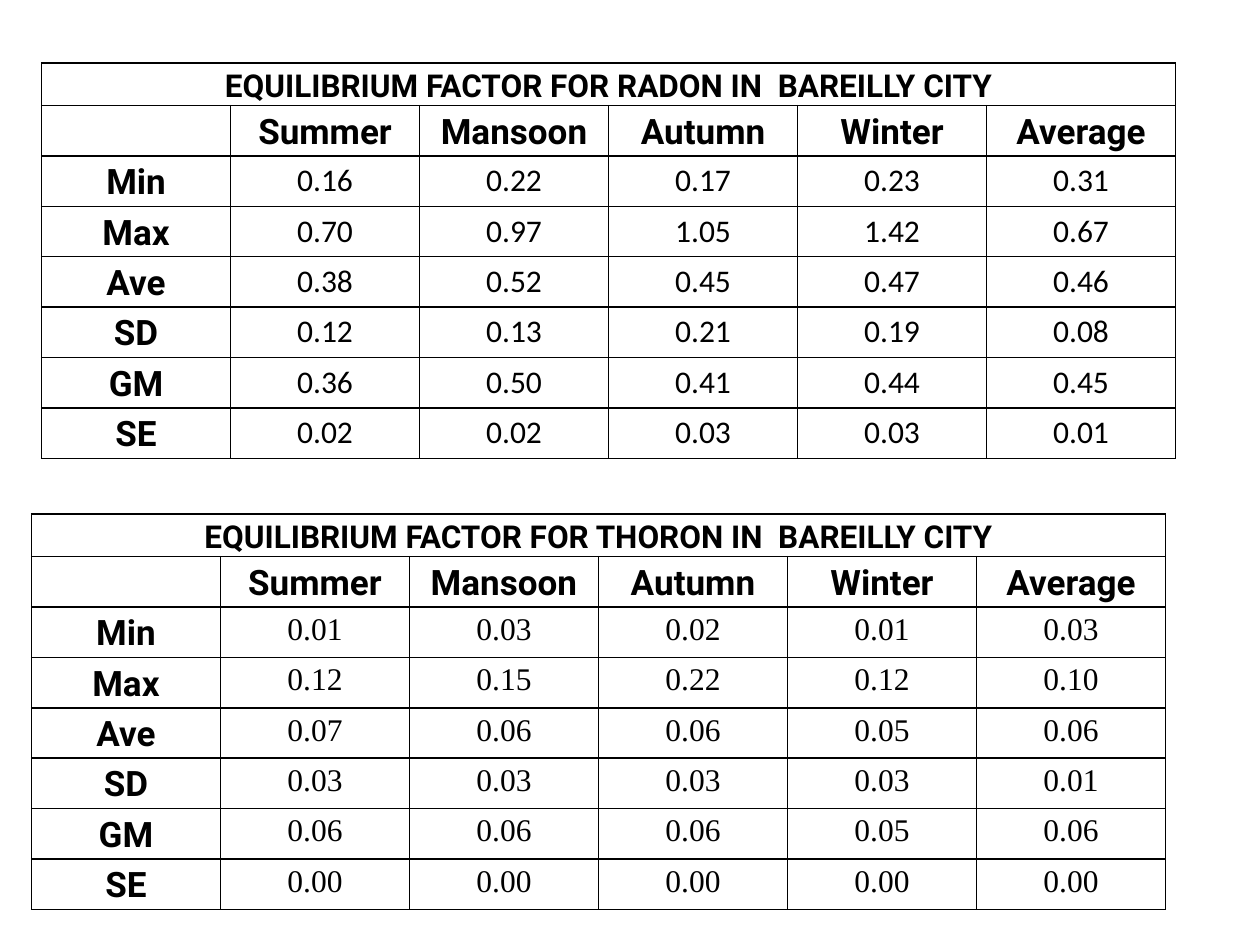
from dataclasses import dataclass

from lxml import etree
from pptx import Presentation
from pptx.dml.color import RGBColor
from pptx.enum.text import MSO_ANCHOR, PP_ALIGN
from pptx.oxml.ns import qn
from pptx.slide import Slide
from pptx.util import Inches, Pt

CENTER = PP_ALIGN.CENTER
TOP = MSO_ANCHOR.TOP
BLANK_LAYOUT = 6

COLORS = {"text": "000000", "border": "000000"}
SEASONS = ["Summer", "Mansoon", "Autumn", "Winter", "Average"]
STATISTICS = ["Min", "Max", " Ave ", "SD", "GM", "SE"]

RADON = [
    ["0.16", "0.22", "0.17", "0.23", "0.31"],
    ["0.70", "0.97", "1.05", "1.42", "0.67"],
    ["0.38", "0.52", "0.45", "0.47", "0.46"],
    ["0.12", "0.13", "0.21", "0.19", "0.08"],
    ["0.36", "0.50", "0.41", "0.44", "0.45"],
    ["0.02", "0.02", "0.03", "0.03", "0.01"],
]
THORON = [
    ["0.01", "0.03", "0.02", "0.01", "0.03"],
    ["0.12", "0.15", "0.22", "0.12", "0.10"],
    ["0.07", "0.06", "0.06", "0.05", "0.06"],
    ["0.03", "0.03", "0.03", "0.03", "0.01"],
    ["0.06", "0.06", "0.06", "0.05", "0.06"],
    ["0.00", "0.00", "0.00", "0.00", "0.00"],
]


@dataclass
class FactorSlide:
    slide: Slide
    heading_font: str = "Roboto"
    heading_size: int = 20
    body_size: int = 18
    line_spacing: float = 1.15
    column_width: float = 1.5
    title_height: float = 0.33
    row_height: float = 0.4

    def add_borders(self, cell):
        properties = cell._tc.get_or_add_tcPr()
        for index, side in enumerate(("a:lnL", "a:lnR", "a:lnT", "a:lnB")):
            line = etree.Element(qn(side), w=str(Pt(1)))
            fill = etree.SubElement(line, qn("a:solidFill"))
            etree.SubElement(fill, qn("a:srgbClr"), val=COLORS["border"])
            properties.insert(index, line)

    def format_cell(self, cell):
        cell.fill.background()
        cell.margin_left = cell.margin_right = Inches(0.07)
        cell.margin_top = cell.margin_bottom = 0
        cell.vertical_anchor = TOP
        self.add_borders(cell)

    def write_cell(self, cell, text, font_name, size, bold):
        paragraph = cell.text_frame.paragraphs[0]
        paragraph.text = text
        paragraph.alignment = CENTER
        paragraph.line_spacing = self.line_spacing
        for run in paragraph.runs:
            run.font.name = font_name
            run.font.size = Pt(size)
            run.font.bold = bold
            run.font.color.rgb = RGBColor.from_string(COLORS["text"])

    def add_factor_table(self, left, top, title, values, value_font):
        row_count, column_count = len(STATISTICS) + 2, len(SEASONS) + 1
        width = column_count * self.column_width
        height = self.title_height + (row_count - 1) * self.row_height
        table = self.slide.shapes.add_table(
            row_count, column_count, Inches(left), Inches(top), Inches(width), Inches(height)
        ).table
        table.horz_banding = False
        table.first_row = False
        for column in table.columns:
            column.width = Inches(self.column_width)
        for row in table.rows:
            row.height = Inches(self.row_height)
        table.rows[0].height = Inches(self.title_height)
        for cell in table.iter_cells():
            self.format_cell(cell)

        table.cell(0, 0).merge(table.cell(0, column_count - 1))
        self.write_cell(table.cell(0, 0), title, self.heading_font, self.body_size, True)
        for column, season in enumerate(SEASONS, 1):
            self.write_cell(table.cell(1, column), season, self.heading_font, self.heading_size, True)
        for row, (statistic, numbers) in enumerate(zip(STATISTICS, values), 2):
            self.write_cell(table.cell(row, 0), statistic, self.heading_font, self.heading_size, True)
            for column, number in enumerate(numbers, 1):
                self.write_cell(table.cell(row, column), number, value_font, self.body_size, False)


def main():
    presentation = Presentation()
    presentation.slide_width = Inches(10)
    presentation.slide_height = Inches(7.5)
    slide = presentation.slides.add_slide(presentation.slide_layouts[BLANK_LAYOUT])
    factors = FactorSlide(slide)
    factors.add_factor_table(
        0.33, 0.5, "EQUILIBRIUM FACTOR FOR RADON IN  BAREILLY CITY", RADON, "Calibri"
    )
    factors.add_factor_table(
        0.25, 4.08, "EQUILIBRIUM FACTOR FOR THORON IN  BAREILLY CITY", THORON, "Times New Roman"
    )
    presentation.save("out.pptx")


if __name__ == "__main__":
    main()
